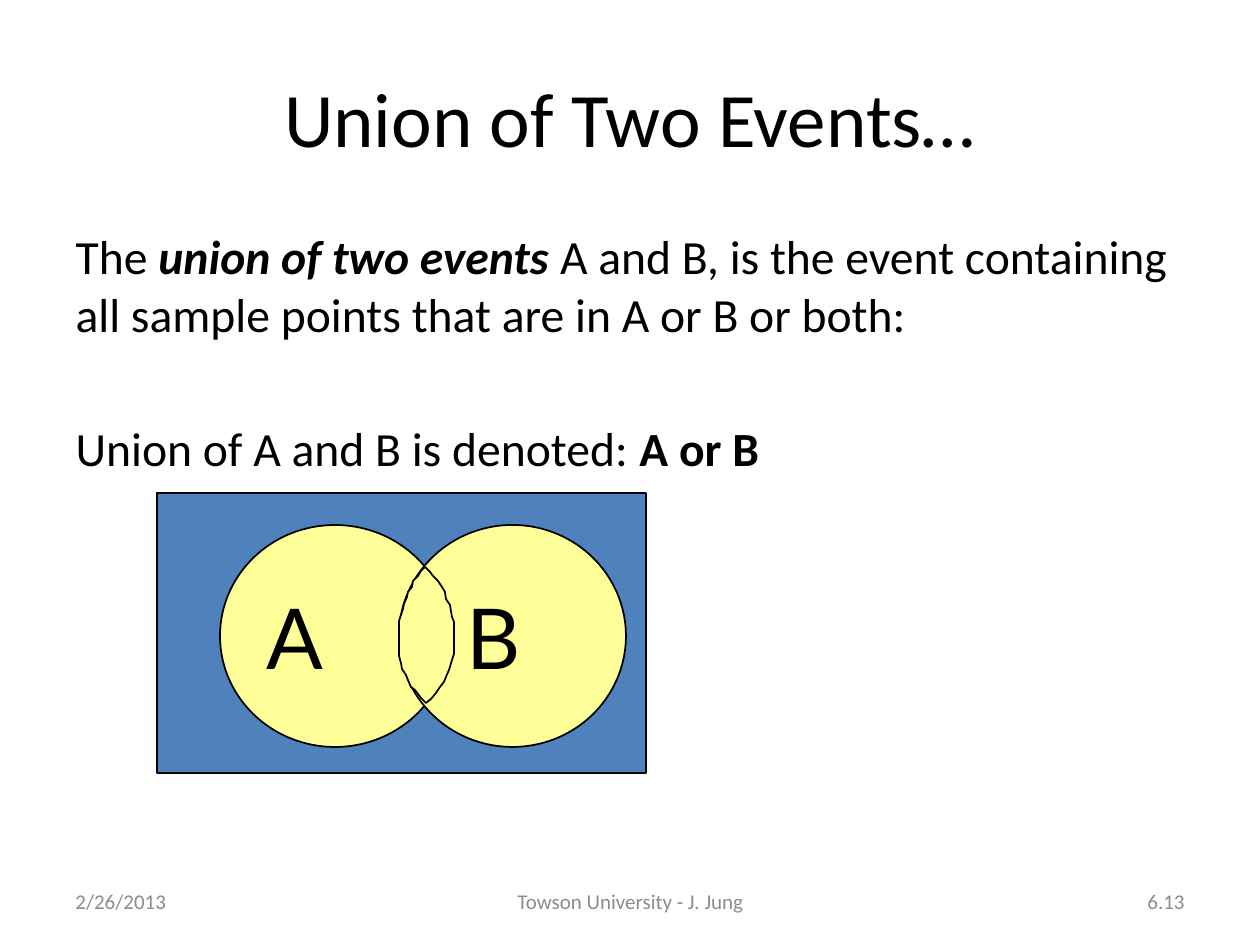
from pptx import Presentation, util as u
from pptx.dml.color import RGBColor
from pptx.enum import shapes, text
from pptx.oxml.ns import qn

PX = 914400 / 126
BLACK, GRAY, YELLOW, BLUE = "000000", "8C8C8C", "FFFF99", "4F81BD"


def add_run(paragraph, words, size, font="Calibri", color=BLACK, bold=False, italic=False):
    run = paragraph.add_run()
    run.text = words
    run.font.name = font
    run.font.size = u.Pt(size)
    run.font.bold = bold
    run.font.italic = italic
    run.font.color.rgb = RGBColor.from_string(color)


def place(shape, *box, fill=None):
    """Set left, top, width and height in px; a fill also brings a black outline."""
    shape.left, shape.top, shape.width, shape.height = [u.Emu(round(n * PX)) for n in box]
    if fill:
        shape.shadow.inherit = False
        shape.fill.solid()
        shape.fill.fore_color.rgb = RGBColor.from_string(fill)
        shape.line.color.rgb = RGBColor.from_string(BLACK)
        shape.line.width = u.Pt(1)


presentation = Presentation()
presentation.slide_width = u.Emu(round(1260 * PX))
presentation.slide_height = u.Emu(round(945 * PX))
slide = presentation.slides.add_slide(presentation.slide_layouts[1])

# Title and body
title, body = slide.placeholders
place(title, 63, 38, 1134, 157)
title.text_frame.vertical_anchor = text.MSO_ANCHOR.MIDDLE
title.text_frame.paragraphs[0].alignment = text.PP_ALIGN.CENTER
add_run(title.text_frame.paragraphs[0], "Union of Two Events…", 44)

place(body, 63, 221, 1134, 262)
body.text_frame.auto_size = text.MSO_AUTO_SIZE.NONE
definition = body.text_frame.paragraphs[0]
notation = body.text_frame.add_paragraph()
for paragraph, space in ((definition, 0), (notation, 44)):
    properties = paragraph._p.get_or_add_pPr()
    properties.set("marL", "0")
    properties.set("indent", "0")
    properties.append(properties.makeelement(qn("a:buNone"), {}))
    paragraph.space_before = u.Pt(space)
add_run(definition, "The ", 27.2)
add_run(definition, "union of two events", 27.2, bold=True, italic=True)
add_run(definition, " A and B, is the event containing all sample points that are in A or B or both:", 27.2)
add_run(notation, "Union of A and B is denoted: ", 27.2)
add_run(notation, "A or B", 27.2, bold=True)

# Venn diagram
sample_space = slide.shapes.add_shape(shapes.MSO_SHAPE.RECTANGLE, 0, 0, 0, 0)
place(sample_space, 157, 493, 489, 280, fill=BLUE)

for label, left, width in (("A", 220, 230), (" B", 399, 227)):
    event = slide.shapes.add_shape(shapes.MSO_SHAPE.OVAL, 0, 0, 0, 0)
    place(event, left, 525, width, 222, fill=YELLOW)
    event.text_frame.vertical_anchor = text.MSO_ANCHOR.MIDDLE
    event.text_frame.paragraphs[0].alignment = text.PP_ALIGN.LEFT
    add_run(event.text_frame.paragraphs[0], label, 48, font="Lato")

overlap_left = [
    (425, 567), (421, 571), (418, 576), (413, 581), (412, 587), (408, 592), (407, 597),
    (404, 604), (403, 609), (401, 615), (399, 621), (399, 656), (401, 663), (402, 669),
    (406, 675), (408, 680), (411, 687), (415, 690), (421, 698), (426, 703),
]
overlap_right = [
    (431, 699), (436, 693), (440, 687), (444, 682), (446, 677), (449, 670), (450, 667),
    (452, 660), (454, 654), (454, 622), (452, 617), (451, 611), (450, 605), (446, 599),
    (445, 592), (442, 587), (438, 581), (433, 576), (430, 572),
]
builder = slide.shapes.build_freeform(*overlap_left[0], scale=PX)
builder.add_line_segments(overlap_left[1:] + overlap_right, close=True)
overlap = builder.convert_to_shape()
place(overlap, 399, 567, 55, 136, fill=YELLOW)

# Footer
for words, left, width, alignment in (
    ("2/26/2013", 63, 294, text.PP_ALIGN.LEFT),
    ("Towson University - J. Jung", 431, 399, text.PP_ALIGN.CENTER),
    ("6.13", 903, 294, text.PP_ALIGN.RIGHT),
):
    footer = slide.shapes.add_textbox(0, 0, 0, 0)
    place(footer, left, 876, width, 50)
    footer.text_frame.word_wrap = True
    footer.text_frame.vertical_anchor = text.MSO_ANCHOR.MIDDLE
    footer.text_frame.paragraphs[0].alignment = alignment
    add_run(footer.text_frame.paragraphs[0], words, 12, color=GRAY)

presentation.save("out.pptx")
